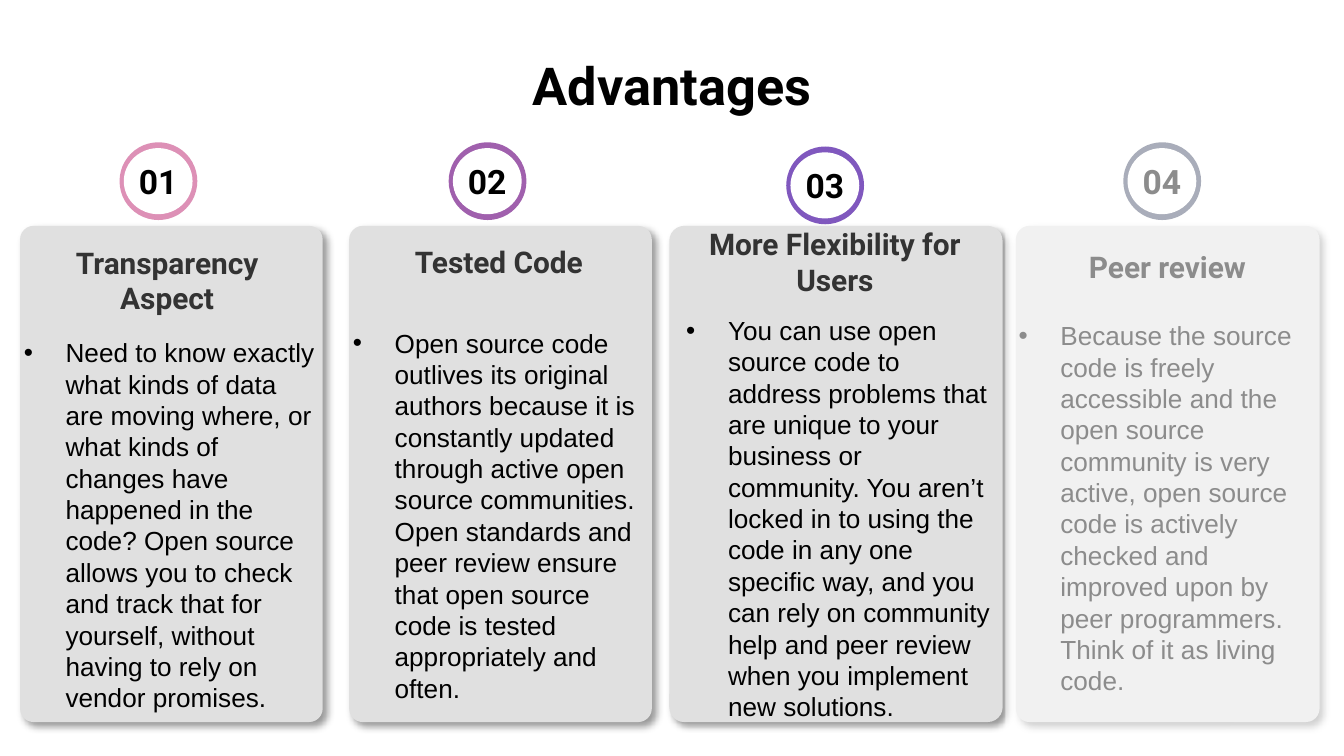
from lxml import etree
from pptx import Presentation
from pptx.dml.color import RGBColor
from pptx.enum.shapes import MSO_SHAPE
from pptx.enum.text import MSO_ANCHOR, PP_ALIGN
from pptx.oxml import parse_xml
from pptx.oxml.ns import qn
from pptx.util import Cm, Pt

ROUNDED, OVAL, RECTANGLE = MSO_SHAPE.ROUNDED_RECTANGLE, MSO_SHAPE.OVAL, MSO_SHAPE.RECTANGLE
TOP, MIDDLE = MSO_ANCHOR.TOP, MSO_ANCHOR.MIDDLE
LEFT, CENTER = PP_ALIGN.LEFT, PP_ALIGN.CENTER

THEME = {
    "black": "000000", "white": "FFFFFF", "card": "E0E0E0", "heading": "333333",
    "rings": ["DD90B6", "A060AD", "8058BE", "424B66"],
    "display": "Roboto", "text": "Arial",
    "title_size": 28, "heading_size": 16, "number_size": 18, "body_size": 14,
}
INSET, BODY_INSET, LOW_INSET = 0.25, 0.5, 0.85
CARD_TOP, CARD_HEIGHT = 4.27, 9.38
RING_SIZE = 1.47
SHADOW = (
    '<a:effectLst xmlns:a="http://schemas.openxmlformats.org/drawingml/2006/main">'
    '<a:outerShdw blurRad="50800" dist="38100" dir="2700000" algn="tl" rotWithShape="0">'
    '<a:srgbClr val="000000"><a:alpha val="40000"/></a:srgbClr>'
    '</a:outerShdw></a:effectLst>'
)

ADVANTAGES = [
    {"card": (0.38, 5.72), "ring": (2.26, 2.69),
     "heading": "Transparency Aspect", "heading_box": (0.38, 4.45, 5.56, 2.29),
     "heading_low": LOW_INSET, "heading_color": "heading",
     "body": "Need to know exactly what kinds of data are moving where, or what kinds of "
             "changes have happened in the code? Open source allows you to check and track "
             "that for yourself, without having to rely on vendor promises.",
     "body_box": (-0.05, 5.87, 6.53, 8.1), "body_low": INSET},
    {"card": (6.6, 5.72), "ring": (8.48, 2.69),
     "heading": "Tested Code", "heading_box": (6.65, 4.45, 5.56, 1.6),
     "heading_low": LOW_INSET, "heading_color": "heading",
     "body": "Open source code outlives its original authors because it is constantly "
             "updated through active open source communities. Open standards and peer "
             "review ensure that open source code is tested appropriately and often.",
     "body_box": (6.17, 5.99, 6.6, 8.1), "body_low": LOW_INSET},
    {"card": (12.65, 6.3), "ring": (14.86, 2.77),
     "heading": "More Flexibility for Users", "heading_box": (13, 4.45, 5.56, 1.6),
     "heading_low": LOW_INSET, "heading_color": "heading",
     "body": "You can use open source code to address problems that are unique to your "
             "business or community. You aren’t locked in to using the code in any one "
             "specific way, and you can rely on community help and peer review when you "
             "implement new solutions.",
     "body_box": (12.47, 5.82, 6.78, 7.95), "body_low": INSET},
    {"card": (19.2, 5.74), "ring": (21.23, 2.69),
     "heading": "Peer review", "heading_box": (19.18, 3.89, 5.77, 2.29),
     "heading_low": INSET, "heading_color": "black",
     "body": "Because the source code is freely accessible and the open source community is "
             "very active, open source code is actively checked and improved upon by peer "
             "programmers. Think of it as living code.",
     "body_box": (18.75, 5.23, 6.73, 8.74), "body_low": INSET},
]

presentation = Presentation()
presentation.slide_width, presentation.slide_height = Cm(25.4), Cm(14.29)
slide = presentation.slides.add_slide(presentation.slide_layouts[6])


def add_panel(kind, box, color):
    panel = slide.shapes.add_shape(kind, *[Cm(length) for length in box])
    panel.shadow.inherit = False
    panel.fill.solid()
    panel.fill.fore_color.rgb = RGBColor.from_string(color)
    panel.line.fill.background()
    return panel


def write(holder, words, font, size, color, bold=True, anchor=MIDDLE, align=CENTER,
          side=INSET, low=INSET):
    frame = holder.text_frame
    frame.word_wrap = True
    frame.vertical_anchor = anchor
    frame.margin_left = frame.margin_right = Cm(side)
    frame.margin_top, frame.margin_bottom = Cm(INSET), Cm(low)
    paragraph = frame.paragraphs[0]
    paragraph.alignment = align
    run = paragraph.add_run()
    run.text = words
    run.font.name, run.font.size, run.font.bold = font, Pt(size), bold
    run.font.color.rgb = RGBColor.from_string(color)
    return paragraph


title = slide.shapes.add_textbox(Cm(1.27), Cm(0.76), Cm(22.86), Cm(1.6))
write(title, "Advantages", THEME["display"], THEME["title_size"], THEME["black"], anchor=TOP)

for number, (advantage, ring_color) in enumerate(zip(ADVANTAGES, THEME["rings"]), start=1):
    card_left, card_width = advantage["card"]
    card = add_panel(ROUNDED, (card_left, CARD_TOP, card_width, CARD_HEIGHT), THEME["card"])
    card.adjustments[0] = 0.045
    properties = card.element.spPr
    properties.replace(properties.find(qn("a:effectLst")), parse_xml(SHADOW))

    ring_left, ring_top = advantage["ring"]
    add_panel(OVAL, (ring_left, ring_top, RING_SIZE, RING_SIZE), ring_color)
    center = add_panel(OVAL, (ring_left + 0.08, ring_top + 0.11, 1.3, 1.25), THEME["white"])
    write(center, f"{number:02}", THEME["display"], THEME["number_size"], THEME["black"], side=0)

    heading = slide.shapes.add_textbox(*[Cm(length) for length in advantage["heading_box"]])
    write(heading, advantage["heading"], THEME["display"], THEME["heading_size"],
          THEME[advantage["heading_color"]], low=advantage["heading_low"])

    body = slide.shapes.add_textbox(*[Cm(length) for length in advantage["body_box"]])
    bullet_point = write(body, advantage["body"], THEME["text"], THEME["body_size"],
                         THEME["black"], bold=False, align=LEFT, side=BODY_INSET,
                         low=advantage["body_low"])
    bullet_format = bullet_point._p.get_or_add_pPr()
    bullet_format.set("marL", str(Cm(0.79)))
    bullet_format.set("indent", str(Cm(-0.79)))
    bullet_color = etree.SubElement(bullet_format, qn("a:buClr"))
    etree.SubElement(bullet_color, qn("a:srgbClr"), val=THEME["black"])
    etree.SubElement(bullet_format, qn("a:buFont"), typeface=THEME["text"])
    etree.SubElement(bullet_format, qn("a:buChar"), char="•")

veil = add_panel(RECTANGLE, (19, 2.49, 7.21, 11.48), THEME["white"])
veil_color = veil.element.spPr.find(qn("a:solidFill")).find(qn("a:srgbClr"))
etree.SubElement(veil_color, qn("a:alpha"), val="55000")

presentation.save("out.pptx")
